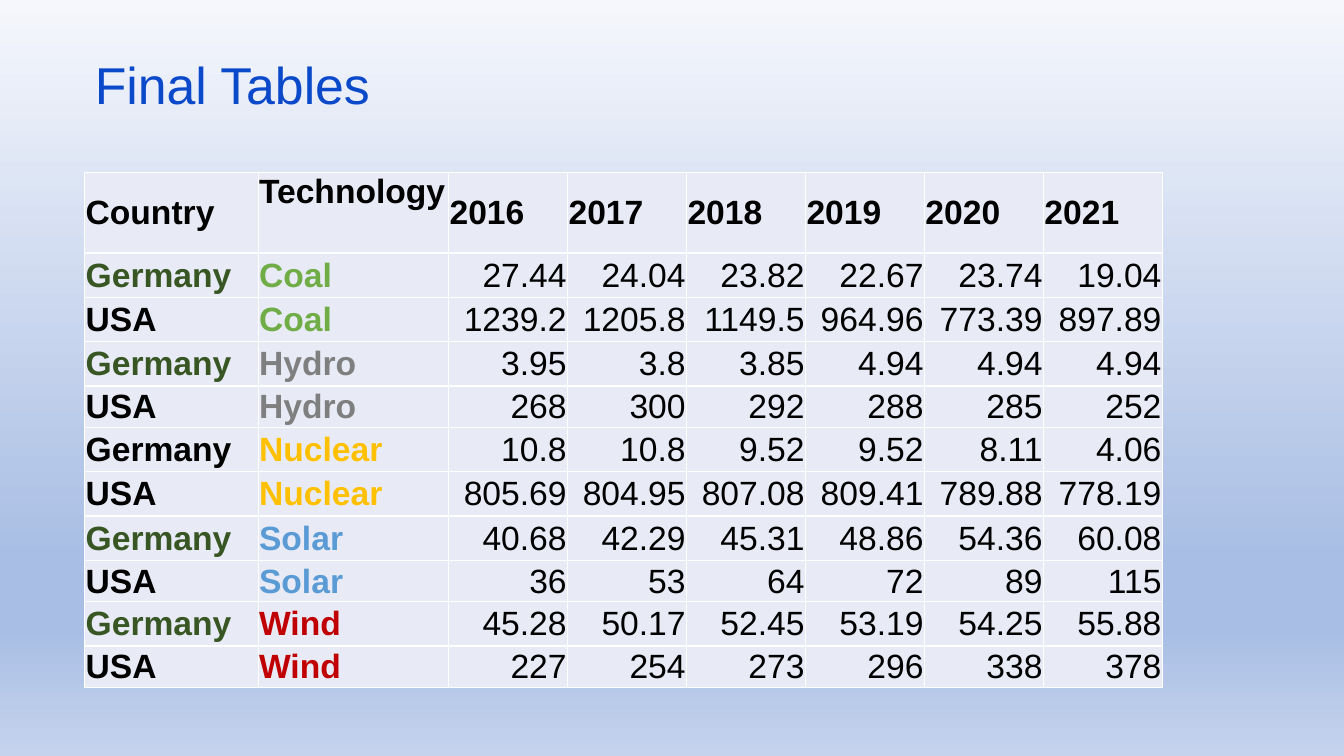
from lxml import etree
from pptx import Presentation
from pptx import util as u
from pptx.dml.color import RGBColor
from pptx.enum import text
from pptx.oxml.ns import qn

COLORS = {
    "title": "0B49CB", "black": "000000", "cell": "E8EBF5", "border": "FFFFFF",
    "Germany": "385623", "Coal": "70AD47", "Hydro": "7F7F7F",
    "Nuclear": "FFC000", "Solar": "5B9BD5", "Wind": "C00000",
}
BACKGROUND = [(0, "F5F7FC"), (74, "A9BEE4"), (83, "A9BEE4"), (100, "C5D3ED")]
HEADER = ["Country", "Technology", "2016", "2017", "2018", "2019", "2020", "2021"]
OUTPUT = {
    "Coal": ["27.44 24.04 23.82 22.67 23.74 19.04",
             "1239.2 1205.8 1149.5 964.96 773.39 897.89"],
    "Hydro": ["3.95 3.8 3.85 4.94 4.94 4.94", "268 300 292 288 285 252"],
    "Nuclear": ["10.8 10.8 9.52 9.52 8.11 4.06",
                "805.69 804.95 807.08 809.41 789.88 778.19"],
    "Solar": ["40.68 42.29 45.31 48.86 54.36 60.08", "36 53 64 72 89 115"],
    "Wind": ["45.28 50.17 52.45 53.19 54.25 55.88", "227 254 273 296 338 378"],
}
COLUMN_WIDTHS = [1.72, 1.89] + [1.18] * 6
HEADER_HEIGHT, TALL_ROW, SHORT_ROW = 0.8, 0.44, 0.41


def assign(target, values):
    for name, value in values.items():
        setattr(target, name, value)


class SlideBuilder:
    font = "Arial"
    cell_format = {
        "margin_left": u.Inches(0.01), "margin_right": u.Inches(0.01),
        "margin_top": u.Inches(0.01), "margin_bottom": 0,
        "vertical_anchor": text.MSO_ANCHOR.MIDDLE,
    }

    def __init__(self, deck):
        self.page = deck.slides.add_slide(deck.slide_layouts[5])

    def background(self, stops):
        fill = self.page.background.fill
        fill.gradient()
        fill.gradient_angle = 270
        stop_list = self.page.element.find(".//" + qn("a:gsLst"))
        for stop in list(stop_list):
            stop_list.remove(stop)
        for percent, color in stops:
            stop = etree.SubElement(stop_list, qn("a:gs"), pos=str(percent * 1000))
            etree.SubElement(stop, qn("a:srgbClr"), val=color)

    def add_span(self, para, words, size, color, bold=False):
        span = para.add_run()
        span.text = words
        assign(span.font, {"name": self.font, "size": u.Pt(size), "bold": bold})
        span.font.color.rgb = RGBColor.from_string(COLORS[color])

    def title(self, words, left, top, width, height):
        box = self.page.shapes.title
        assign(box, {"left": u.Inches(left), "top": u.Inches(top),
                     "width": u.Inches(width), "height": u.Inches(height)})
        assign(box.text_frame, {"word_wrap": True, "auto_size": text.MSO_AUTO_SIZE.NONE,
                                "vertical_anchor": text.MSO_ANCHOR.MIDDLE})
        para = box.text_frame.paragraphs[0]
        assign(para, {"alignment": text.PP_ALIGN.LEFT, "line_spacing": 0.8})
        self.add_span(para, words, 37, "title")

    def table(self, rows, left, top, widths, heights):
        table = self.page.shapes.add_table(
            len(rows), len(widths), u.Inches(left), u.Inches(top),
            u.Inches(sum(widths)), u.Inches(sum(heights))).table
        assign(table, {"first_row": False, "horz_banding": False})
        for column, width in zip(table.columns, widths):
            column.width = u.Inches(width)
        for row, height, entries in zip(table.rows, heights, rows):
            row.height = u.Inches(height)
            for cell, entry in zip(row.cells, entries):
                self.cell(cell, *entry)
        return table

    def cell(self, cell, words, color, bold, alignment):
        assign(cell, self.cell_format)
        cell.fill.solid()
        cell.fill.fore_color.rgb = RGBColor.from_string(COLORS["cell"])
        self.borders(cell)
        para = cell.text_frame.paragraphs[0]
        para.alignment = alignment
        self.add_span(para, words, 24, color, bold)

    def borders(self, cell):
        properties = cell._tc.get_or_add_tcPr()
        for index, side in enumerate(("a:lnL", "a:lnR", "a:lnT", "a:lnB")):
            line = etree.Element(qn(side), w=str(u.Pt(1)))
            fill = etree.SubElement(line, qn("a:solidFill"))
            etree.SubElement(fill, qn("a:srgbClr"), val=COLORS["border"])
            properties.insert(index, line)


def table_rows():
    left, right = text.PP_ALIGN.LEFT, text.PP_ALIGN.RIGHT
    rows = [[(label, "black", True, left) for label in HEADER]]
    for technology, series in OUTPUT.items():
        for country, values in zip(("Germany", "USA"), series):
            green = country == "Germany" and technology != "Nuclear"
            labels = [(country, "Germany" if green else "black", True, left),
                      (technology, technology, True, left)]
            rows.append(labels + [(value, "black", False, right) for value in values.split()])
    return rows


def main():
    deck = Presentation()
    assign(deck, {"slide_width": u.Inches(13.33), "slide_height": u.Inches(7.5)})
    builder = SlideBuilder(deck)
    builder.background(BACKGROUND)
    builder.title("Final Tables", 0.84, 0.59, 11.5, 0.6)
    whole_number_rows = (4, 8, 10)
    heights = [HEADER_HEIGHT] + [
        SHORT_ROW if index in whole_number_rows else TALL_ROW for index in range(1, 11)]
    table = builder.table(table_rows(), 0.84, 1.71, COLUMN_WIDTHS, heights)
    table.cell(0, 1).vertical_anchor = text.MSO_ANCHOR.TOP
    deck.save("out.pptx")


if __name__ == "__main__":
    main()
